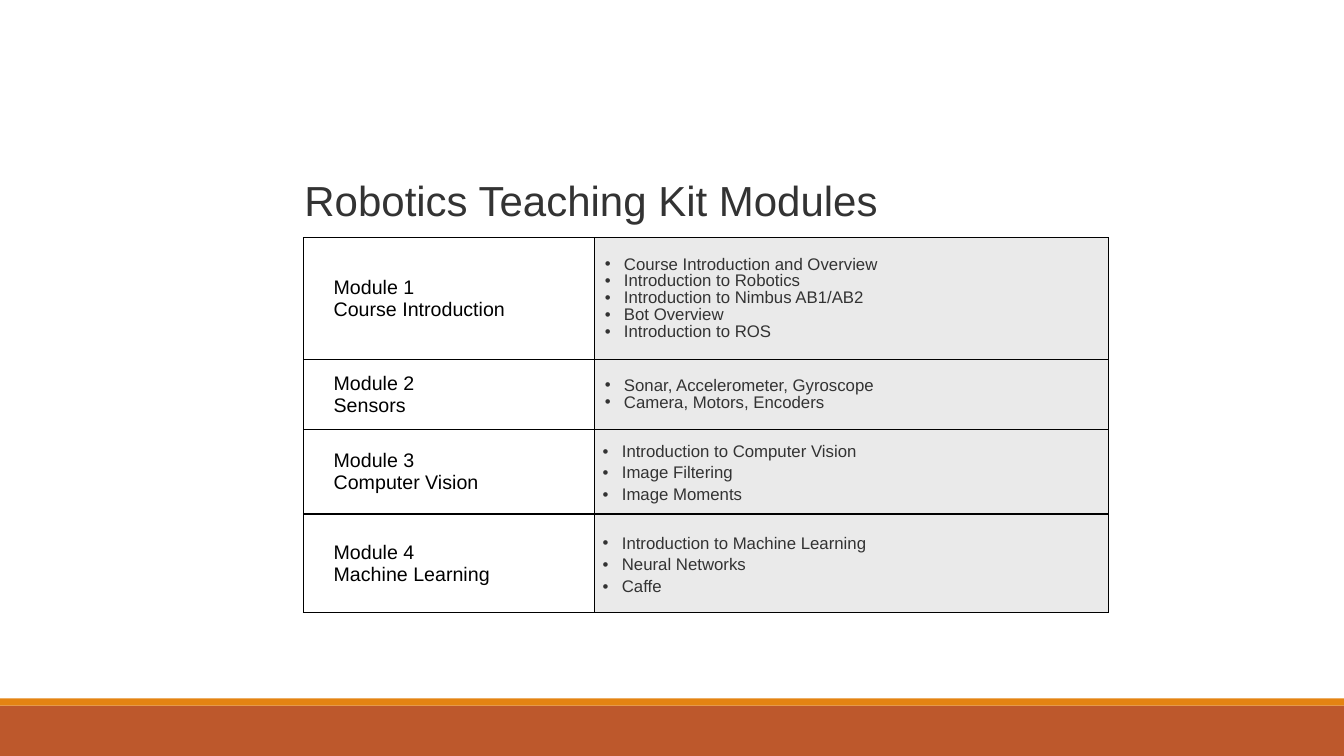
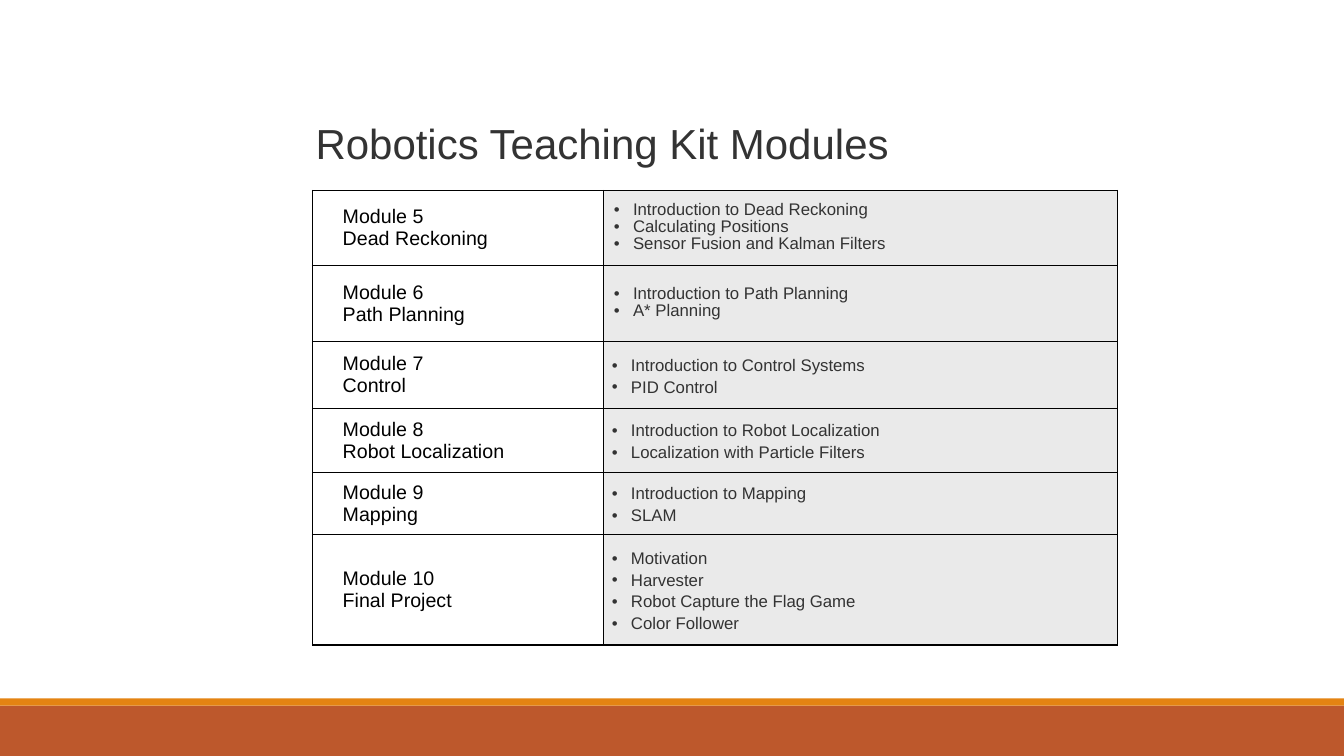
import lxml.etree
import pptx
import pptx.dml.color
import pptx.enum.shapes
import pptx.enum.text
import pptx.oxml
import pptx.oxml.ns
import pptx.util

HUES = {"ink": "333333", "black": "000000", "cell": "C5C5C5",
        "rust": "BD582C", "amber": "E48312"}
COLS, ROWS = 133.33, 75  # grid of tenths of an inch
HEAD = "Robotics Teaching Kit Modules"
WIDTHS = (28.9, 51)
# Cell margins (left, top, right, bottom), then list indent and line spacing
NAME_PAD = (3, 0.4, 1, 0.4)
TIGHT = ((1, 0.4, 1, 0.4), 1.9, 0.9)
LOOSE = ((0.2, 0.1, 0.2, 0.1), 2.5, 1.15)
HANG = 1.9


def grid(n):
    """Turn grid units into a length."""
    return pptx.util.Inches(n / 10)


def tint(name):
    return pptx.dml.color.RGBColor.from_string(HUES[name])


def child(node, tag, **attrs):
    return lxml.etree.SubElement(node, pptx.oxml.ns.qn(tag), **attrs)


class Deck:
    def __init__(self, font):
        self.font = font
        self.show = pptx.Presentation()
        self.show.slide_width = grid(COLS)
        self.show.slide_height = grid(ROWS)
        self.slide = None

    def page(self):
        """Start a slide with the two bands at its foot."""
        self.slide = self.show.slides.add_slide(self.show.slide_layouts[5])
        self.band(70, 5, "rust")
        self.band(69.3, 0.7, "amber")

    def band(self, top, height, hue):
        bar = self.slide.shapes.add_shape(
            pptx.enum.shapes.MSO_SHAPE.RECTANGLE,
            0, grid(top), grid(COLS), grid(height))
        bar.shadow.inherit = False
        bar.fill.solid()
        bar.fill.fore_color.rgb = tint(hue)
        bar.line.fill.background()

    def style(self, para, size, hue, space=1.0):
        para.alignment = pptx.enum.text.PP_ALIGN.LEFT
        para.line_spacing = space
        for run in para.runs:
            run.font.name = self.font
            run.font.size = pptx.util.Pt(size)
            run.font.color.rgb = tint(hue)

    def title(self, text, left, top):
        box = self.slide.shapes.title
        box.left, box.top = grid(left), grid(top)
        box.width, box.height = grid(81.8), grid(10.1)
        frame = box.text_frame
        frame.text = text
        frame.word_wrap = True
        frame.auto_size = pptx.enum.text.MSO_AUTO_SIZE.NONE
        frame.vertical_anchor = pptx.enum.text.MSO_ANCHOR.BOTTOM
        self.style(frame.paragraphs[0], 30, "ink", 0.9)

    def table(self, left, top, rows):
        """Draw rows of (height, list layout, name lines, topics)."""
        table = self.slide.shapes.add_table(
            len(rows), len(WIDTHS), grid(left), grid(top),
            grid(sum(WIDTHS)), grid(sum(row[0] for row in rows))).table
        table.first_row = table.horz_banding = False
        for col, width in zip(table.columns, WIDTHS):
            col.width = grid(width)
        for i, (height, layout, name, topics) in enumerate(rows):
            table.rows[i].height = grid(height)
            self.name(table.cell(i, 0), name)
            self.topics(table.cell(i, 1), topics, layout)

    def fill(self, cell, lines, pad):
        """Set the text, margins and anchor of a cell."""
        cell.text_frame.text = "\n".join(lines)
        cell.vertical_anchor = pptx.enum.text.MSO_ANCHOR.MIDDLE
        (cell.margin_left, cell.margin_top,
         cell.margin_right, cell.margin_bottom) = map(grid, pad)

    def name(self, cell, lines):
        self.fill(cell, lines, NAME_PAD)
        for para in cell.text_frame.paragraphs:
            self.style(para, 14, "black")
        cell.fill.background()
        self.edge(cell)

    def topics(self, cell, lines, layout):
        pad, indent, space = layout
        self.fill(cell, lines, pad)
        for para in cell.text_frame.paragraphs:
            self.style(para, 12, "ink", space)
            prop = para._p.get_or_add_pPr()
            prop.set("marL", str(grid(indent)))
            prop.set("indent", str(-grid(HANG)))
            child(prop, "a:buFont", typeface=self.font)
            child(prop, "a:buChar", char="•")
        cell.fill.solid()
        cell.fill.fore_color.rgb = tint("cell")
        color = cell._tc.tcPr.find(".//" + pptx.oxml.ns.qn("a:srgbClr"))
        child(color, "a:alpha", val="35000")
        self.edge(cell)

    def edge(self, cell):
        """Line all four sides of a cell."""
        prop = cell._tc.get_or_add_tcPr()
        for i, side in enumerate("LRTB"):
            line = child(prop, "a:ln" + side, w=str(pptx.util.Pt(1)))
            child(child(line, "a:solidFill"), "a:srgbClr", val=HUES["black"])
            prop.insert(i, line)


FIRST = [
    (12.1, TIGHT, ("Module 1", "Course Introduction"),
     ("Course Introduction and Overview", "Introduction to Robotics",
      "Introduction to Nimbus AB1/AB2", "Bot Overview",
      "Introduction to ROS")),
    (6.9, TIGHT, ("Module 2", "Sensors"),
     ("Sonar, Accelerometer, Gyroscope", "Camera, Motors, Encoders")),
    (8.4, LOOSE, ("Module 3", "Computer Vision"),
     ("Introduction to Computer Vision", "Image Filtering",
      "Image Moments")),
    (9.8, LOOSE, ("Module 4", "Machine Learning"),
     ("Introduction to Machine Learning", "Neural Networks", "Caffe")),
]
SECOND = [
    (7.4, TIGHT, ("Module 5", "Dead Reckoning"),
     ("Introduction to Dead Reckoning", "Calculating Positions",
      "Sensor Fusion and Kalman Filters")),
    (7.6, TIGHT, ("Module 6", "Path Planning"),
     ("Introduction to Path Planning", "A* Planning")),
    (6.6, LOOSE, ("Module 7", "Control"),
     ("Introduction to Control Systems", "PID Control")),
    (6.4, LOOSE, ("Module 8", "Robot Localization"),
     ("Introduction to Robot Localization",
      "Localization with Particle Filters")),
    (6.1, LOOSE, ("Module 9", "Mapping"),
     ("Introduction to Mapping", "SLAM")),
    (11, LOOSE, ("Module 10", "Final Project"),
     ("Motivation", "Harvester", "Robot Capture the Flag Game",
      "Color Follower")),
]


def main():
    deck = Deck("Arial")
    for head, spot, rows in (((29.2, 12.8), (30.1, 23.6), FIRST),
                             ((30.3, 7.1), (31, 18.9), SECOND)):
        deck.page()
        deck.title(HEAD, *head)
        deck.table(*spot, rows)
    deck.show.save("out.pptx")


if __name__ == "__main__":
    main()
